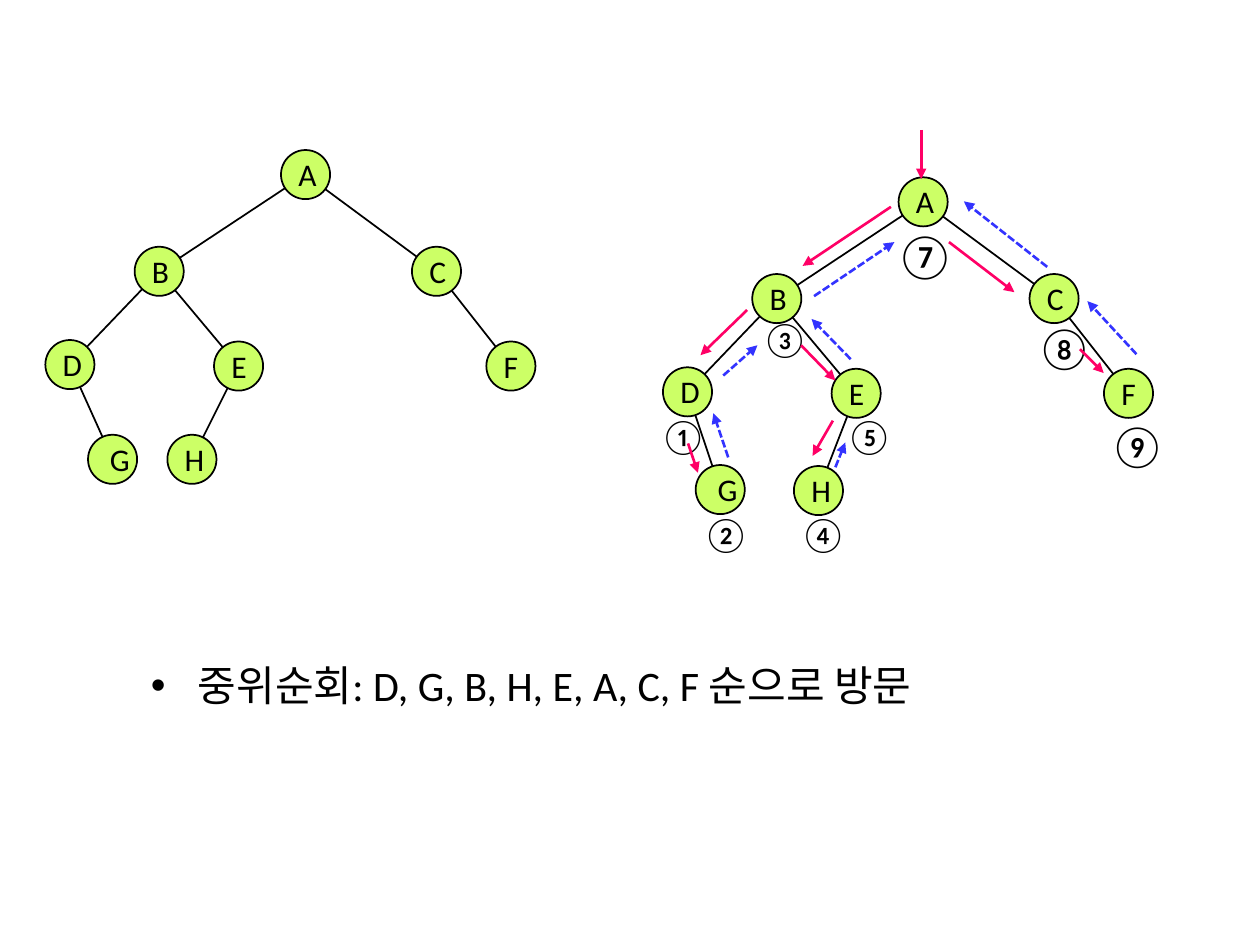
import pptx
import pptx.dml.color
import pptx.enum.dml
import pptx.enum.shapes
import pptx.enum.text
import pptx.oxml.ns
import pptx.util
from lxml import etree

Cm, Pt = pptx.util.Cm, pptx.util.Pt
RGBColor = pptx.dml.color.RGBColor
qn = pptx.oxml.ns.qn
ANCHOR, ALIGN = pptx.enum.text.MSO_ANCHOR, pptx.enum.text.PP_ALIGN

BLACK = RGBColor(0x00, 0x00, 0x00)
LIME = RGBColor(0xCC, 0xFF, 0x66)
PINK = RGBColor(0xFF, 0x00, 0x66)
BLUE = RGBColor(0x33, 0x33, 0xFF)

# Content: all lengths are in centimetres
DIAMETER = 0.99
EDGES = ["DG", "EH", "BE", "CF", "BD", "AB", "AC"]
PLAIN_TREE = {
    "A": (6.16, 3.52), "B": (3.21, 5.47), "C": (8.8, 5.47), "D": (1.41, 7.35),
    "E": (4.81, 7.38), "F": (10.3, 7.38), "G": (2.27, 9.26), "H": (3.87, 9.26),
}
# The traversed tree is the plain one moved over, with its lowest leaves adjusted
SHIFT_X, SHIFT_Y = 12.45, 0.55
TRAVERSED_TREE = {name: (x + SHIFT_X, y + SHIFT_Y) for name, (x, y) in PLAIN_TREE.items()}
TRAVERSED_TREE.update({"G": (14.52, 9.87), "H": (16.5, 9.89)})

# Visit number: left, top, width, height, size, font, wraps
VISITS = [
    ("①", 13.06, 8.23, 1.22, 1.12, 20, "Calibri", False),
    ("②", 13.92, 10.21, 1.22, 1.12, 20, "Calibri", False),
    ("③", 15.11, 6.27, 1.22, 1.12, 20, "Calibri", False),
    ("④", 15.88, 10.21, 1.22, 1.12, 20, "Calibri", False),
    ("⑤", 16.81, 8.23, 1.22, 1.12, 20, "Calibri", False),
    ("⑦", 17.93, 4.52, 1.27, 1.27, 24, "Lato", False),
    ("⑧", 20.65, 6.35, 1.14, 1.3, 24, "Calibri", True),
    ("⑨", 22.12, 8.33, 1.27, 1.27, 24, "Calibri", False),
]

# Arrows: start x, start y, tip x, tip y
DESCENTS = [
    (18.57, 2.62, 18.57, 3.61), (17.96, 4.17, 16.18, 5.36),
    (15.06, 6.25, 14.12, 7.16), (13.87, 8.94, 14.07, 9.53),
    (16.15, 6.96, 16.84, 7.67), (16.79, 8.48, 16.38, 9.19),
    (19.13, 4.88, 20.45, 5.89), (21.77, 7.04, 22.25, 7.52),
]
RETURNS = [
    (14.68, 9.22, 14.38, 8.33), (14.58, 7.57, 15.27, 6.96),
    (22.91, 7.14, 21.92, 6.07), (21.11, 5.38, 19.43, 4.06),
    (17.15, 7.24, 16.36, 6.43), (16.84, 9.42, 17.04, 8.92),
    (16.41, 5.97, 18.03, 4.88),
]
SUMMARY = "중위순회: D, G, B, H, E, A, C, F 순으로 방문"

deck = pptx.Presentation()
deck.slide_width, deck.slide_height = Cm(25.4), Cm(19.05)
page = deck.slides.add_slide(deck.slide_layouts[6])


def add_line(x1, y1, x2, y2, color=BLACK, width=1, arrow=False, dashed=False):
    line = page.shapes.add_connector(
        pptx.enum.shapes.MSO_CONNECTOR.STRAIGHT, Cm(x1), Cm(y1), Cm(x2), Cm(y2))
    line.line.color.rgb = color
    line.line.width = Pt(width)
    if dashed:
        line.line.dash_style = pptx.enum.dml.MSO_LINE.SQUARE_DOT
    if arrow:
        outline = line.line._get_or_add_ln()
        etree.SubElement(outline, qn("a:tailEnd"), type="triangle")
    etree.SubElement(line._element.spPr, qn("a:effectLst"))


def add_text(text, left, top, width, height, size, font="Calibri", wrap=True):
    box = page.shapes.add_textbox(Cm(left), Cm(top), Cm(width), Cm(height))
    frame = box.text_frame
    frame.word_wrap = wrap
    frame.auto_size = pptx.enum.text.MSO_AUTO_SIZE.SHAPE_TO_FIT_TEXT
    para = frame.paragraphs[0]
    span = para.add_run()
    span.text = text
    span.font.size = Pt(size)
    span.font.name = font
    span.font.color.rgb = BLACK
    return frame, para


def add_tree(nodes):
    for parent, child in EDGES:
        add_line(*nodes[parent], *nodes[child])
    for x, y in nodes.values():
        circle = page.shapes.add_shape(
            pptx.enum.shapes.MSO_SHAPE.OVAL, Cm(x - DIAMETER / 2), Cm(y - DIAMETER / 2),
            Cm(DIAMETER), Cm(DIAMETER))
        circle.shadow.inherit = False
        circle.fill.solid()
        circle.fill.fore_color.rgb = LIME
        circle.line.color.rgb = BLACK
        circle.line.width = Pt(1)
    for name, (x, y) in nodes.items():
        width, nudge = (0.69, 0.04) if name == "G" else (0.79, 0)
        frame, para = add_text(name, x - width / 2 + nudge, y - 0.52, width, 1.02, 18)
        frame.vertical_anchor = ANCHOR.MIDDLE
        para.alignment = ALIGN.CENTER


# Both trees
add_tree(PLAIN_TREE)
add_tree(TRAVERSED_TREE)

# Visit order and the walk around the second tree
for visit in VISITS:
    add_text(*visit)
for ends in DESCENTS:
    add_line(*ends, color=PINK, width=1.5, arrow=True)
for ends in RETURNS:
    add_line(*ends, color=BLUE, width=1.5, arrow=True, dashed=True)

# Summary bullet
_, bullet = add_text(SUMMARY, 2.79, 13.18, 20.12, 1.27, 24)
properties = bullet._p.get_or_add_pPr()
properties.set("marL", str(Cm(0.95)))
properties.set("indent", str(-Cm(0.95)))
etree.SubElement(properties, qn("a:buFont"), typeface="Arial")
etree.SubElement(properties, qn("a:buChar"), char="•")

deck.save("out.pptx")
